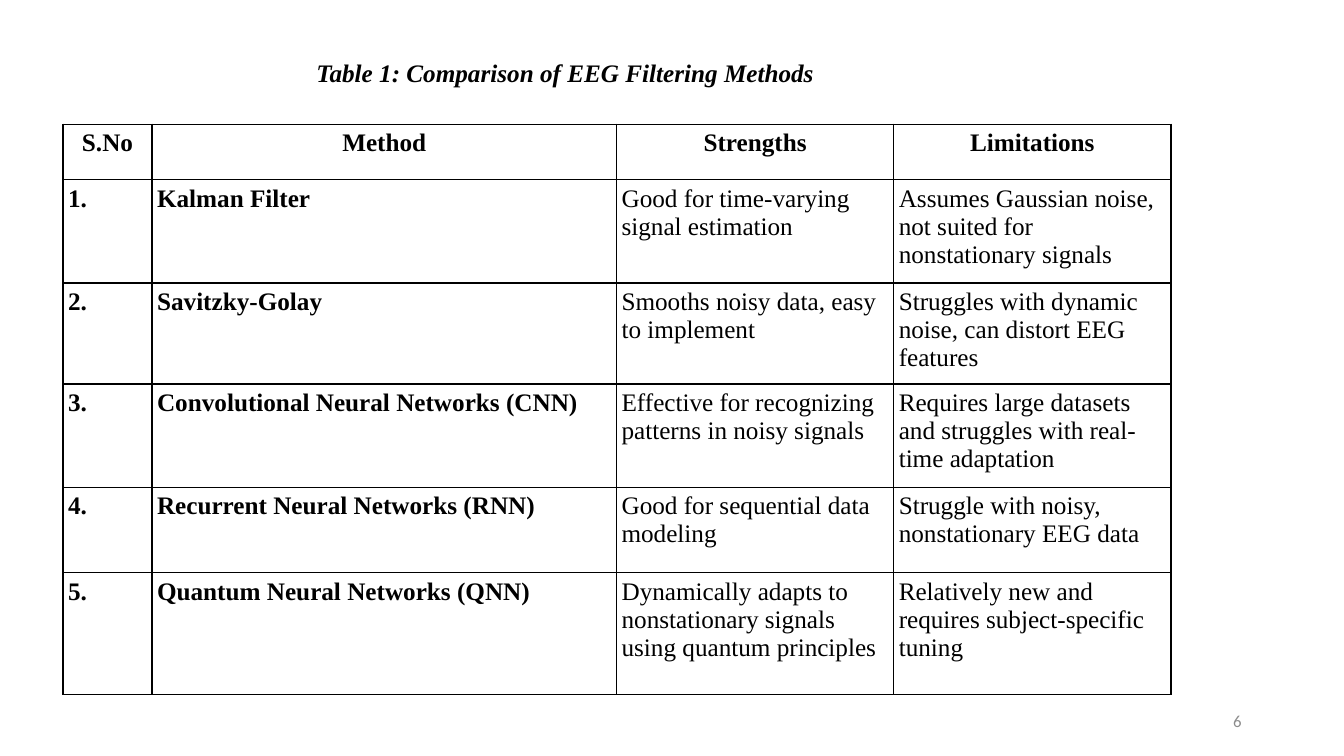
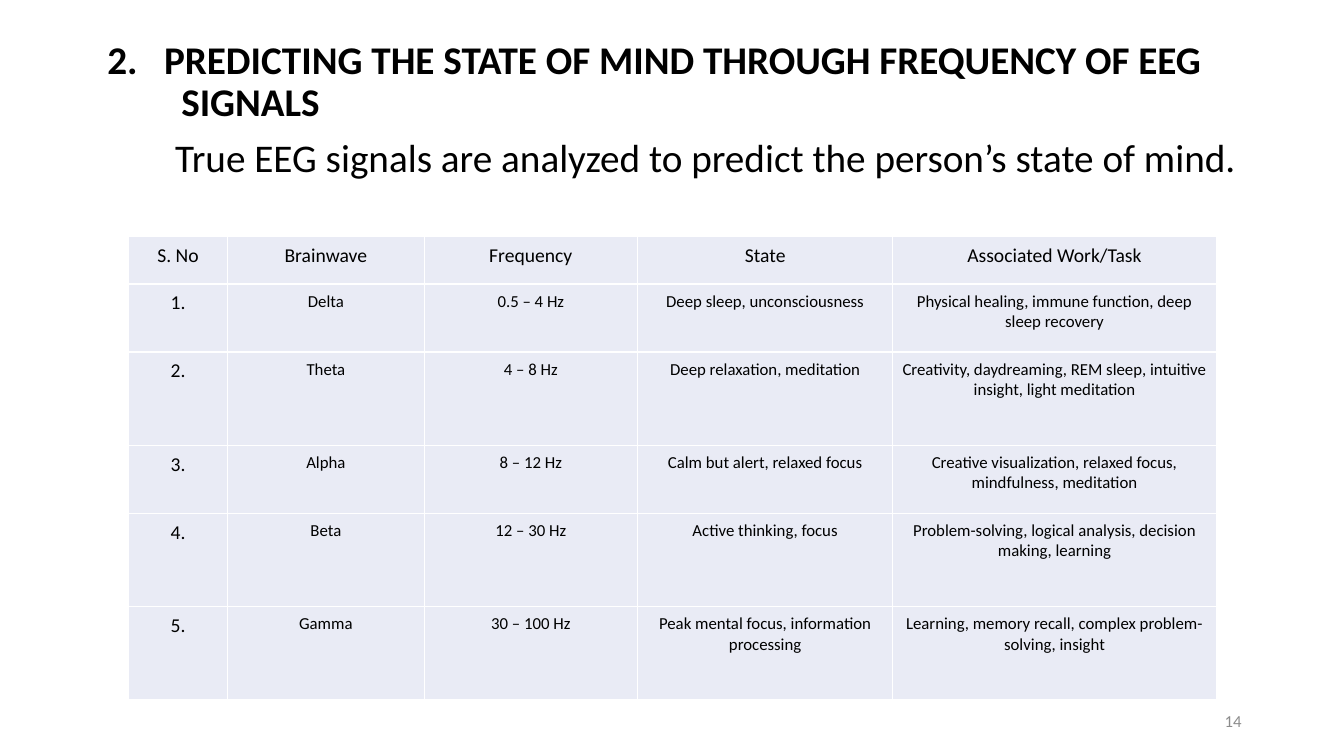
from lxml.etree import SubElement as Sub
from pptx import Presentation as Deck
from pptx.dml.color import RGBColor as Rgb
from pptx.enum.text import MSO_ANCHOR as Anchor, PP_ALIGN as Align
from pptx.oxml.ns import qn
from pptx.util import Emu, Pt

CELL = 76200  # the slide is a grid of 160 columns by 90 rows
COLS, ROWS = 160, 90
HUES = {"ink": "000000", "page": "FFFFFF", "dim": "8C8C8C", "pale": "E9EBF5"}
SANS, SERIF = "Calibri", "Times New Roman"

METHODS = [
    ("S.No", "Method", "Strengths", "Limitations"),
    ("1.", "Kalman Filter", "Good for time-varying signal estimation",
     "Assumes Gaussian noise, not suited for nonstationary signals"),
    ("2.", "Savitzky-Golay", "Smooths noisy data, easy to implement",
     "Struggles with dynamic noise, can distort EEG features"),
    ("3.", "Convolutional Neural Networks (CNN)",
     "Effective for recognizing patterns in noisy signals",
     "Requires large datasets and struggles with real-time adaptation"),
    ("4.", "Recurrent Neural Networks (RNN)",
     "Good for sequential data modeling",
     "Struggle with noisy, nonstationary EEG data"),
    ("5.", "Quantum Neural Networks (QNN)",
     "Dynamically adapts to nonstationary signals using quantum principles",
     "Relatively new and requires subject-specific tuning"),
]
WAVES = [
    ("S. No", "Brainwave", "Frequency", "State", "Associated Work/Task"),
    ("1.", "Delta", "0.5 – 4 Hz", "Deep sleep, unconsciousness",
     "Physical healing, immune function, deep sleep recovery"),
    ("2.", "Theta", "4 – 8 Hz", "Deep relaxation, meditation",
     "Creativity, daydreaming, REM sleep, intuitive insight, light meditation"),
    ("3.", "Alpha", "8 – 12 Hz", "Calm but alert, relaxed focus",
     "Creative visualization, relaxed focus, mindfulness, meditation"),
    ("4.", "Beta", "12 – 30 Hz", "Active thinking, focus",
     "Problem-solving, logical analysis, decision making, learning"),
    ("5.", "Gamma", "30 – 100 Hz", "Peak mental focus, information processing",
     "Learning, memory recall, complex problem-solving, insight"),
]


def grid(*cells):
    """Turn grid cells into slide lengths."""
    return [Emu(round(n * CELL)) for n in cells]


def rgb(hue):
    return Rgb.from_string(HUES[hue])


class Show:
    """Holds the deck, its current slide and the shared style."""

    def __init__(self):
        self.deck = Deck()
        self.deck.slide_width, self.deck.slide_height = grid(COLS, ROWS)
        self.slide = None

    def page(self, number):
        self.slide = self.deck.slides.add_slide(self.deck.slide_layouts[6])
        fill = self.slide.background.fill
        fill.solid()
        fill.fore_color.rgb = rgb("page")
        foot = self.box(113, 83.4, 36, 4.8)
        foot.vertical_anchor = Anchor.MIDDLE
        self.label(foot.paragraphs[0], str(number), 12, hue="dim",
                   align=Align.RIGHT)

    def box(self, *place):
        frame = self.slide.shapes.add_textbox(*grid(*place)).text_frame
        frame.word_wrap = True
        return frame

    def label(self, para, text, size, font=SANS, hue="ink", bold=False,
              slant=False, align=Align.LEFT):
        para.text = text
        para.alignment = align
        for run in para.runs:
            face = run.font
            face.name, face.size = font, Pt(size)
            face.bold, face.italic = bold, slant
            face.color.rgb = rgb(hue)

    def line(self, frame, text, size, left=0, gap=0, start=None, **style):
        """Add a body line; start gives it a number with a hanging indent."""
        para = frame.paragraphs[0]
        if para.runs:
            para = frame.add_paragraph()
        self.label(para, text, size, **style)
        para.line_spacing, para.space_before = 0.9, Pt(gap)
        props = para._p.get_or_add_pPr()
        edge = grid(left)[0]
        props.set("marL", str(edge))
        if start:
            props.set("indent", str(-edge))
            Sub(props, qn("a:buFont"), typeface="+mj-lt")
            Sub(props, qn("a:buAutoNum"), type="arabicPeriod",
                startAt=str(start))

    def table(self, left, top, cols, rows, data, look, pad, edge, fill=None):
        """Draw data; look(row, col) gives the text style of a cell."""
        place = grid(left, top, sum(cols), sum(rows))
        table = self.slide.shapes.add_table(
            len(rows), len(cols), *place).table
        table.first_row = table.horz_banding = False
        for col, wide in zip(table.columns, grid(*cols)):
            col.width = wide
        for row, high in zip(table.rows, grid(*rows)):
            row.height = high
        for r, texts in enumerate(data):
            for c, text in enumerate(texts):
                cell = table.cell(r, c)
                side = grid(pad)[0]
                cell.margin_left = cell.margin_right = side
                cell.margin_top = cell.margin_bottom = side
                self.label(cell.text_frame.paragraphs[0], text, **look(r, c))
                self.frame(cell, edge)
                if fill:
                    cell.fill.solid()
                    cell.fill.fore_color.rgb = rgb(fill)
                else:
                    cell.fill.background()

    def frame(self, cell, edge):
        props = cell._tc.get_or_add_tcPr()
        for side in "LRTB":
            line = Sub(props, qn("a:ln" + side), w=str(Pt(1)))
            Sub(Sub(line, qn("a:solidFill")), qn("a:srgbClr"), val=HUES[edge])


def method_look(row, col):
    return {"size": 18, "font": SERIF, "bold": row == 0 or col < 2,
            "align": Align.LEFT if row else Align.CENTER}


def wave_look(row, col):
    return {"size": 12 if row and col else 14, "align": Align.CENTER}


def main():
    show = Show()

    show.page(6)
    body = show.box(11, 6.6, 138, 74.5)
    show.line(body, "Table 1: Comparison of EEG Filtering Methods", 18,
              left=25.5, font=SERIF, bold=True, slant=True)
    show.table(7.5, 14.8, (10.6, 55.3, 33, 33),
               (6.6, 12.3, 10.2, 12.3, 10.2, 14.5),
               METHODS, method_look, pad=0.6, edge="ink")

    show.page(14)
    body = show.box(11.6, 4.2, 137.4, 80.6)
    show.line(body, "PREDICTING THE STATE OF MIND THROUGH FREQUENCY OF EEG",
              28, left=6.75, start=2, bold=True)
    show.line(body, "SIGNALS", 28, left=8.8, bold=True)
    show.line(body, "True EEG signals are analyzed to predict the person’s "
              "state of mind.", 28, left=7.3, gap=10, align=Align.CENTER)
    show.table(15.3, 28.2, (11.8, 23.4, 25.4, 30.4, 38.5),
               (5.6, 8.1, 11.1, 8.1, 11.1, 11.1),
               WAVES, wave_look, pad=0.86, edge="page", fill="pale")

    show.deck.save("out.pptx")


if __name__ == "__main__":
    main()
